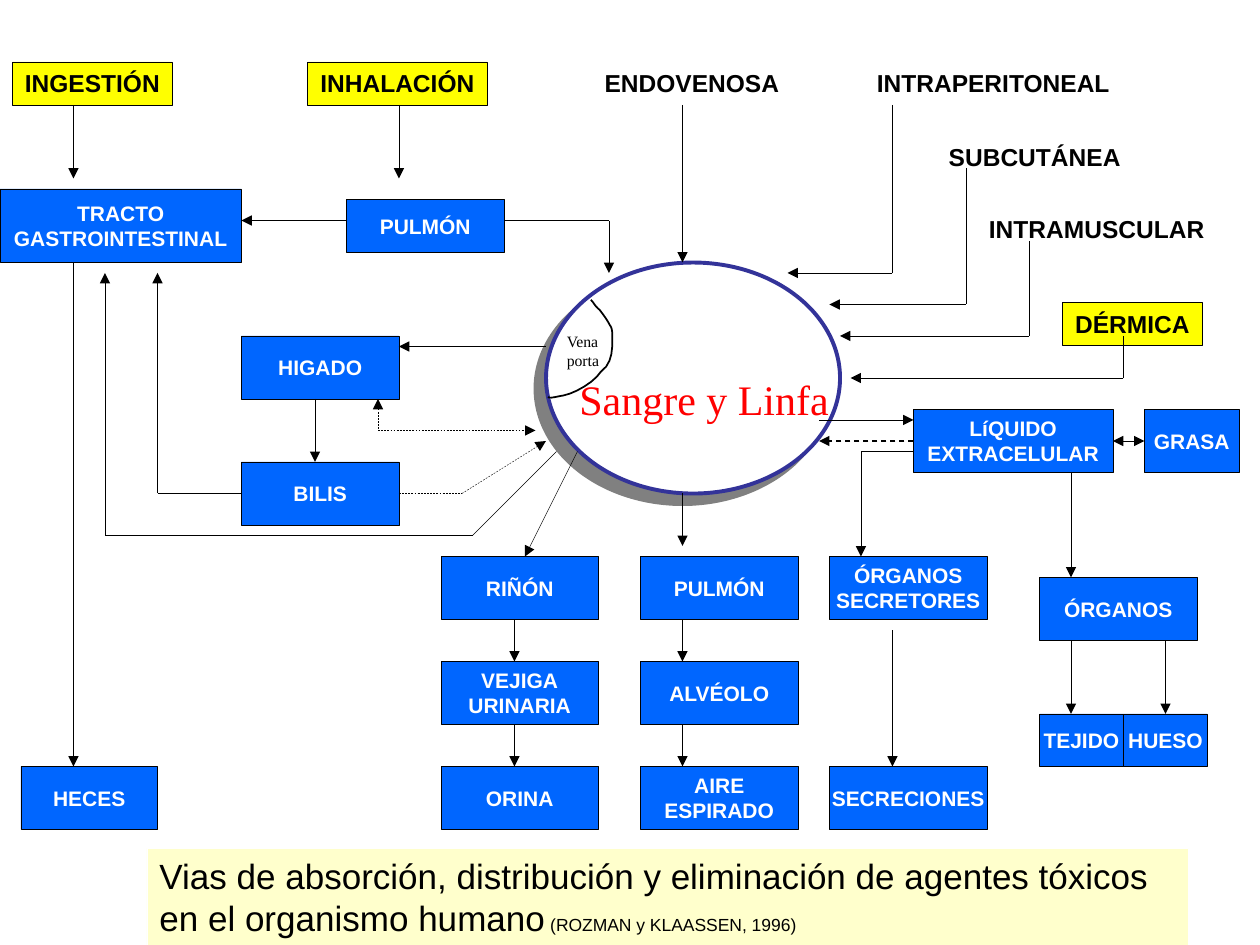
import lxml.etree
import pptx
import pptx.dml.color
import pptx.enum.dml
import pptx.enum.shapes
import pptx.enum.text
import pptx.oxml.ns
import pptx.util

CELL = pptx.util.Inches(1) / 12  # the slide is a grid of 120 columns by 90 rows
BLUE, YELLOW, WHITE, BLACK = "0066FF", "FFFF00", "FFFFFF", "000000"
ALIGN = pptx.enum.text.PP_ALIGN
ANCHOR = pptx.enum.text.MSO_ANCHOR
SHAPE = pptx.enum.shapes.MSO_SHAPE


def cells(*values):
    return [round(v * CELL) for v in values]


def rgb(color):
    return pptx.dml.color.RGBColor.from_string(color)


def sub(parent, tag, **attrs):
    return lxml.etree.SubElement(parent, pptx.oxml.ns.qn(tag), attrs)


def write(tf, text, size=12, color=WHITE, bold=False, font="Arial", align=ALIGN.LEFT):
    """Append text to the last paragraph; each line break starts a new one."""
    for i, line in enumerate(text.split("\n")):
        p = tf.add_paragraph() if i else tf.paragraphs[-1]
        p.alignment = align
        r = p.add_run()
        r.text = line
        r.font.name, r.font.size, r.font.bold = font, pptx.util.Pt(size), bold
        r.font.color.rgb = rgb(color)


def bezier(start, curves, steps=6):
    """Points along a chain of cubic curves, each (x1, y1, x2, y2, x3, y3)."""
    points = [start]
    for x1, y1, x2, y2, x3, y3 in curves:
        for t in (i / steps for i in range(1, steps + 1)):
            weights = (1 - t) ** 3, 3 * t * (1 - t) ** 2, 3 * t * t * (1 - t), t ** 3
            points.append((sum(w * x for w, x in zip(weights, (start[0], x1, x2, x3))),
                           sum(w * y for w, y in zip(weights, (start[1], y1, y2, y3)))))
        start = x3, y3
    return points


class Diagram:
    def __init__(self, slide):
        self.shapes = slide.shapes
        self.sides = {}  # middle of a box side -> (box, connection site)

    def stroke(self, line, color=BLACK, width=0.25):
        line.color.rgb = rgb(color)
        line.width = pptx.util.Pt(width)

    def shape(self, kind, at, fill, line=BLACK, width=0.25):
        sp = self.shapes.add_shape(kind, *cells(*at))
        sp.shadow.inherit = False
        sp.fill.solid()
        sp.fill.fore_color.rgb = rgb(fill)
        self.stroke(sp.line, line, width)
        return sp

    def frame(self, sp, wrap=False, anchor=ANCHOR.TOP):
        tf = sp.text_frame
        tf.word_wrap, tf.vertical_anchor = wrap, anchor
        tf.auto_size = pptx.enum.text.MSO_AUTO_SIZE.NONE
        return tf

    def box(self, text, x, y, w=15, h=6):
        sp = self.shape(SHAPE.RECTANGLE, (x, y, w, h), BLUE)
        write(self.frame(sp, anchor=ANCHOR.MIDDLE), text, bold=True, align=ALIGN.CENTER)
        middles = (x + w / 2, y), (x, y + h / 2), (x + w / 2, y + h), (x + w, y + h / 2)
        self.sides.update({point: (sp, i) for i, point in enumerate(middles)})

    def route(self, text, x, y, w, fill=WHITE):
        line = WHITE if fill == WHITE else BLACK
        sp = self.shape(SHAPE.RECTANGLE, (x, y, w, 4.1), fill, line)
        write(self.frame(sp), text, size=14, color=BLACK, bold=True, align=ALIGN.CENTER)

    def label(self, text, at, **fmt):
        write(self.frame(self.shapes.add_textbox(*cells(*at))), text, font="Times New Roman", **fmt)

    def blood(self, at):
        sp = self.shape(SHAPE.OVAL, at, WHITE, "333399", 2.25)
        effects = sp.element.spPr.find(pptx.oxml.ns.qn("a:effectLst"))
        shadow = sub(effects, "a:outerShdw", dist=str(pptx.util.Pt(8.5)), dir="8100000",
                     algn="ctr", rotWithShape="0")
        sub(shadow, "a:srgbClr", val="808080")

    def curve(self, start, curves):
        """Open curve, with its points in inches."""
        points = [(pptx.util.Inches(x), pptx.util.Inches(y)) for x, y in bezier(start, curves)]
        builder = self.shapes.build_freeform(*points[0])
        builder.add_line_segments(points[1:], close=False)
        sp = builder.convert_to_shape()
        sp.shadow.inherit = False
        sp.fill.background()
        self.stroke(sp.line, width=1)

    def arrow(self, *points, head=False, tail=True, dash=False, width=0.25):
        """Straight segments through the points, with arrowheads at the outer ends."""
        last = len(points) - 2
        for i, (a, b) in enumerate(zip(points, points[1:])):
            cx = self.shapes.add_connector(pptx.enum.shapes.MSO_CONNECTOR.STRAIGHT, *cells(*a, *b))
            self.stroke(cx.line, width=width)
            if dash:
                cx.line.dash_style = pptx.enum.dml.MSO_LINE.DASH
            spPr = cx.element.spPr
            ln = spPr.find(pptx.oxml.ns.qn("a:ln"))
            if head and i == 0:
                sub(ln, "a:headEnd", type="triangle")
            if tail and i == last:
                sub(ln, "a:tailEnd", type="triangle")
            sub(spPr, "a:effectLst")
            if a in self.sides:
                cx.begin_connect(*self.sides[a])
            if b in self.sides:
                cx.end_connect(*self.sides[b])

    def caption(self, title, source, at):
        tf = self.frame(self.shape(SHAPE.RECTANGLE, at, "FFFFCC", WHITE), wrap=True)
        write(tf, title, size=20, color=BLACK)
        write(tf, source, size=10, color=BLACK)


def main():
    prs = pptx.Presentation()
    prs.slide_width, prs.slide_height = cells(120, 90)
    d = Diagram(prs.slides.add_slide(prs.slide_layouts[6]))

    d.route("INGESTIÓN", 1.2, 5.9, 15.2, YELLOW)
    d.route("INHALACIÓN", 29.3, 5.9, 17.1, YELLOW)
    d.route("ENDOVENOSA", 56.4, 5.9, 19)
    d.route("INTRAPERITONEAL", 82.3, 5.9, 24.6)
    d.route("SUBCUTÁNEA", 89.2, 12.9, 18.7)
    d.route("INTRAMUSCULAR", 93, 19.8, 22.9)
    d.route("DÉRMICA", 101.2, 28.8, 13.3, YELLOW)
    d.blood((52, 25, 28, 22))

    d.box("TRACTO\nGASTROINTESTINAL", 0, 18, 23, 7)
    d.box("PULMÓN", 33, 19, h=5)
    d.box("HIGADO", 23, 32)
    d.box("BILIS", 23, 44)
    d.box("HECES", 2, 73, 13)
    d.box("LíQUIDO\nEXTRACELULAR", 87, 39, 19)
    d.box("GRASA", 109, 39, 9)
    columns = {42: ("RIÑÓN", "VEJIGA\nURINARIA", "ORINA"),
               61: ("PULMÓN", "ALVÉOLO", "AIRE\nESPIRADO")}
    for x, names in columns.items():
        for row, name in enumerate(names):
            d.box(name, x, 53 + 10 * row)
    d.box("ÓRGANOS\nSECRETORES", 79, 53)
    d.box("SECRECIONES", 79, 73)
    d.box("ÓRGANOS", 99, 55)
    d.box("TEJIDO", 99, 68, 8, 5)
    d.box("HUESO", 107, 68, 8, 5)

    # Vertical arrows: column, first row, last row
    for x, top, bottom in ((7, 10, 17), (38, 10, 17), (65, 10, 25), (7, 25, 73), (30, 38, 44),
                           (65, 47, 52), (49, 59, 63), (49, 69, 73), (65, 59, 63), (65, 69, 73),
                           (85, 60, 73), (102, 45, 55), (102, 61, 68), (111, 61, 68)):
        d.arrow((x, top), (x, bottom))

    # Routes that bend once towards the blood: column, first row, last row, end column
    for x, top, bottom, end in ((85, 10, 26, 75), (92, 16, 29, 79),
                                (98, 23, 32, 80), (107, 32, 36, 81)):
        d.arrow((x, top), (x, bottom), (end, bottom))

    d.arrow((33, 21), (23, 21))
    d.arrow((48, 21), (58, 21), (58, 26))
    d.arrow((52, 33), (38, 33))
    d.arrow((23, 47), (15, 47), (15, 26))
    d.arrow((38, 47), (44, 47), (52, 42), dash=True)
    d.arrow((36, 38), (36, 41), (51, 41), head=True, dash=True)
    d.arrow((53, 43), (45, 51), (10, 51), (10, 26))
    d.arrow((55, 43), (50, 53))
    d.arrow((78, 40), (87, 40))
    d.arrow((87, 42), (78, 42), dash=True, width=0.75)
    d.arrow((106, 42), (109, 42), head=True)
    d.arrow((87, 43), (82, 43), (82, 53))

    d.caption("Vias de absorción, distribución y eliminación de agentes tóxicos en el organismo humano",
              " (ROZMAN y KLAASSEN, 1996)", (14, 80.8, 99.2, 9.2))
    d.label("Sangre y Linfa", (54, 35, 26.2, 6), size=24, color="FF0000")
    d.curve((4.69, 2.38), ((4.72, 2.41, 4.72, 2.43, 4.76, 2.46),
                           (4.79, 2.5, 4.82, 2.54, 4.84, 2.58),
                           (4.86, 2.6, 4.86, 2.65, 4.86, 2.65),
                           (4.86, 2.75, 4.87, 2.88, 4.77, 2.95),
                           (4.72, 3.03, 4.57, 3.12, 4.47, 3.14),
                           (4.45, 3.14, 4.35, 3.17, 4.35, 3.15)))
    d.label("Vena\nporta", (52.8, 31, 5.5, 4.8), size=9, color=BLACK)
    prs.save("out.pptx")


if __name__ == "__main__":
    main()
